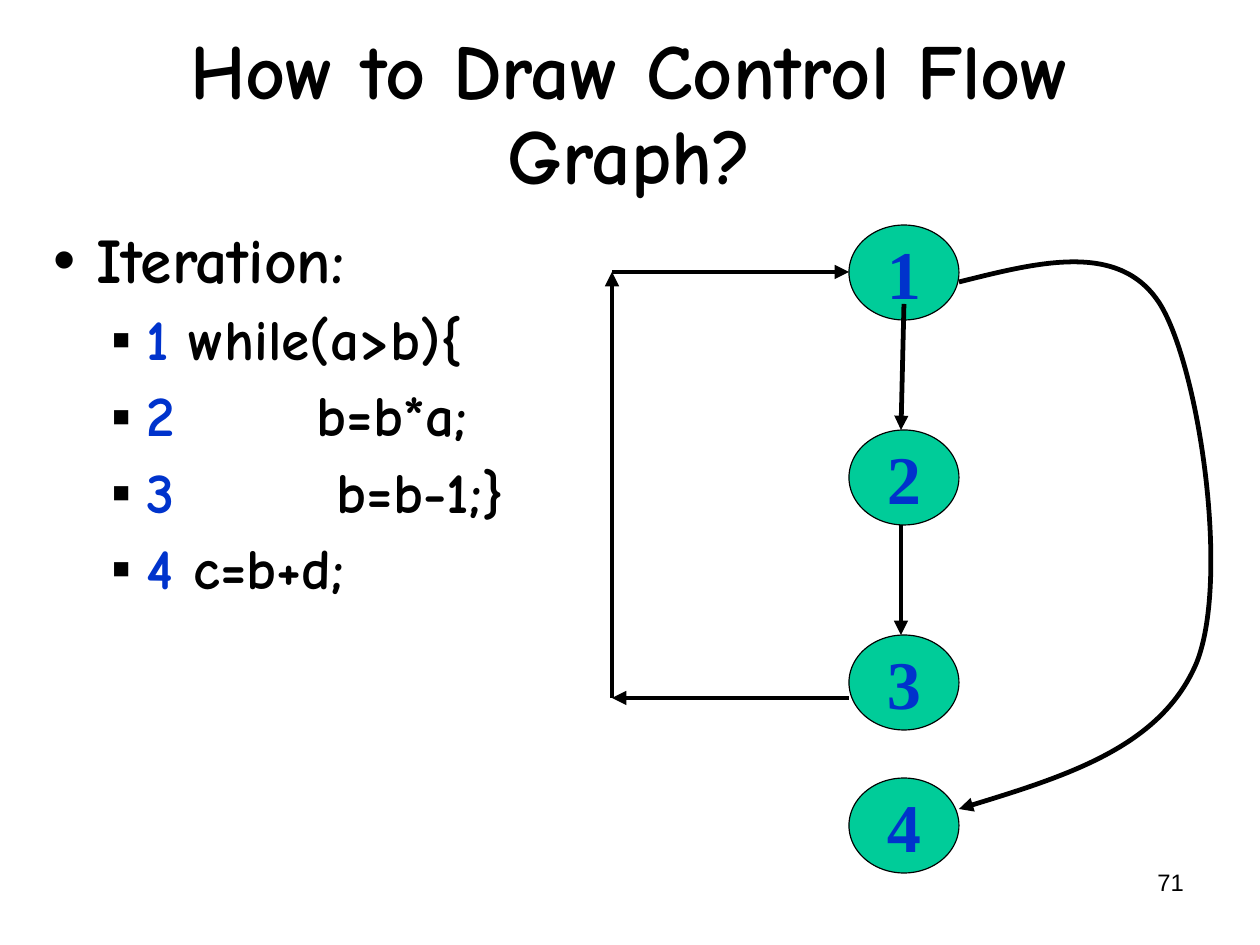
import pptx
import pptx.util
import pptx.dml.color
import pptx.enum.shapes
import pptx.enum.text
import pptx.oxml
import pptx.oxml.ns
import lxml.etree

PX = 8000  # EMU per px
BLACK, BLUE, GREEN = "000000", "0033CC", "00CC99"
ALIGN = pptx.enum.text.PP_ALIGN
ANCHOR = pptx.enum.text.MSO_ANCHOR
qn = pptx.oxml.ns.qn


def paint(color_format, value):
    color_format.rgb = pptx.dml.color.RGBColor.from_string(value)


def add_run(paragraph, text, face, size, color, bold=True):
    run = paragraph.add_run()
    run.text = text
    for key, value in {"name": face, "size": pptx.util.Pt(size), "bold": bold}.items():
        setattr(run.font, key, value)
    paint(run.font.color, color)


presentation = pptx.Presentation()
presentation.slide_width, presentation.slide_height = 1260 * PX, 945 * PX
slide = presentation.slides.add_slide(presentation.slide_layouts[5])
shapes = slide.shapes

# Title, code list and page number
title = shapes.title
title.left, title.top, title.width, title.height = [v * PX for v in (63, -6, 1133, 245)]
code_list = shapes.add_textbox(*[v * PX for v in (40, 221, 1157, 669)])
page_number = shapes.add_textbox(*[v * PX for v in (903, 861, 294, 65)])
frame_format = {
    "word_wrap": True, "auto_size": pptx.enum.text.MSO_AUTO_SIZE.NONE,
    "margin_left": 13 * PX, "margin_right": 13 * PX,
    "margin_top": 7 * PX, "margin_bottom": 7 * PX,
}
for box, anchor in ((title, ANCHOR.MIDDLE), (code_list, ANCHOR.TOP), (page_number, ANCHOR.TOP)):
    for key, value in (frame_format | {"vertical_anchor": anchor}).items():
        setattr(box.text_frame, key, value)

heading = title.text_frame.paragraphs[0]
heading.alignment, heading.line_spacing = ALIGN.CENTER, 0.91
add_run(heading, "How to Draw Control Flow Graph?", "Comic Neue", 49, BLACK)

number = page_number.text_frame.paragraphs[0]
number.alignment = ALIGN.RIGHT
add_run(number, "71", "Arial", 15, BLACK, bold=False)

# Iteration example: level, line number, code
code_lines = [
    (0, "", "Iteration:"),
    (1, "1", " while(a>b){"),
    (1, "2", "       b=b*a;"),
    (1, "3", "        b=b-1;}"),
    (1, "4", " c=b+d;"),
]
# Bullet, left margin px, hanging px, text size
levels = [("•", 43, 43, 40), ("▪", 93, 35, 36)]
for index, (level, line_number, code) in enumerate(code_lines):
    bullet, margin, hanging, size = levels[level]
    frame = code_list.text_frame
    line = frame.add_paragraph() if index else frame.paragraphs[0]
    line.level, line.line_spacing = level, 0.91
    line.space_before = pptx.util.Pt(8.6 if index else 0)
    properties = line._p.get_or_add_pPr()
    properties.set("marL", str(margin * PX))
    properties.set("indent", str(-hanging * PX))
    bullet_color = lxml.etree.SubElement(properties, qn("a:buClr"))
    lxml.etree.SubElement(bullet_color, qn("a:srgbClr"), val=BLACK)
    lxml.etree.SubElement(properties, qn("a:buFont"), typeface="Arial")
    lxml.etree.SubElement(properties, qn("a:buChar"), char=bullet)
    if line_number:
        add_run(line, line_number, "Comic Neue", size, BLUE)
    add_run(line, code, "Comic Neue", size, BLACK)

# Graph nodes
for label, top in enumerate((225, 430, 635, 778), start=1):
    node = shapes.add_shape(pptx.enum.shapes.MSO_SHAPE.OVAL,
                            849 * PX, top * PX, 110 * PX, 95 * PX)
    node.shadow.inherit = False
    node.fill.solid()
    paint(node.fill.fore_color, GREEN)
    paint(node.line.color, BLACK)
    node.line.width = pptx.util.Pt(0.75)
    for key, value in (frame_format | {"word_wrap": False, "vertical_anchor": ANCHOR.MIDDLE}).items():
        setattr(node.text_frame, key, value)
    node_text = node.text_frame.paragraphs[0]
    node_text.alignment = ALIGN.CENTER
    add_run(node_text, str(label), "Times New Roman", 43, BLUE)

# Straight edges: 1 to 2, 2 to 3, and the loop back from 3 to 1
edges = []
for ends in ((904, 304, 901, 430), (901, 525, 901, 635),
             (849, 698, 612, 698), (612, 698, 612, 272), (612, 272, 849, 272)):
    edge = shapes.add_connector(pptx.enum.shapes.MSO_CONNECTOR.STRAIGHT, *[v * PX for v in ends])
    lxml.etree.SubElement(edge._element.spPr, qn("a:effectLst"))
    edges.append(edge)

# Exit edge from 1 to 4: start, then two control points and an end per curve
exit_points = [
    (959, 282),
    (1039, 262), (1120, 241), (1160, 304),
    (1199, 367), (1230, 577), (1197, 662),
    (1162, 746), (1061, 778), (959, 809),
]
builder = shapes.build_freeform(*exit_points[0], scale=PX)
builder.add_line_segments(exit_points[1:], close=False)
exit_edge = builder.convert_to_shape()
exit_edge.shadow.inherit = False
exit_edge.fill.background()
segments = list(exit_edge._element.iter(qn("a:lnTo")))
for start in range(0, len(segments), 3):
    curve = lxml.etree.SubElement(segments[start].getparent(), qn("a:cubicBezTo"))
    for segment in segments[start:start + 3]:
        curve.append(segment[0])
        segment.getparent().remove(segment)
edges.append(exit_edge)

# Edge lines and arrowheads
for edge in edges:
    paint(edge.line.color, BLACK)
    edge.line.width = pptx.util.Pt(3)
    lxml.etree.SubElement(edge.line._get_or_add_ln(), qn("a:tailEnd"), type="triangle")

presentation.save("out.pptx")
